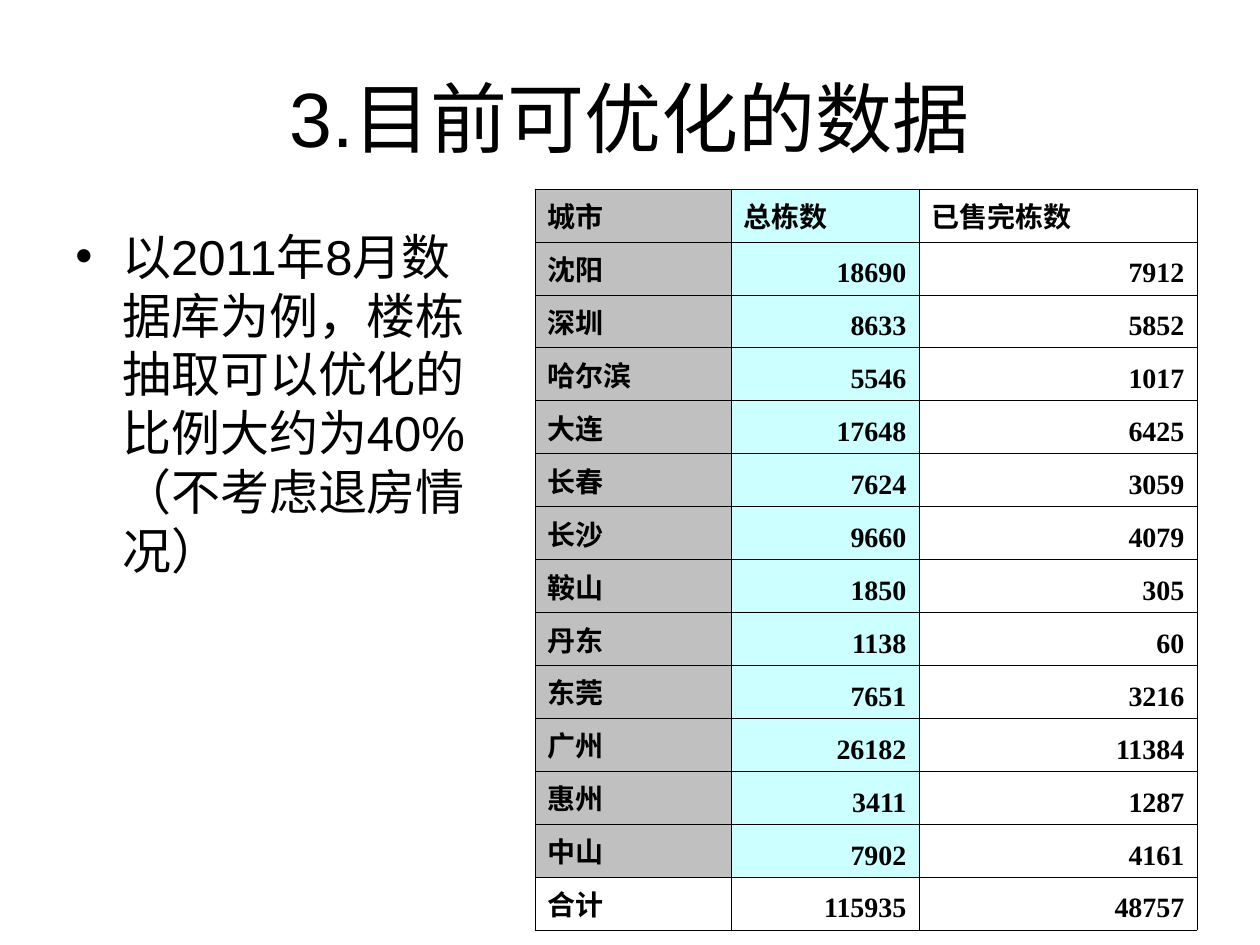
from dataclasses import dataclass

from lxml.etree import SubElement
from pptx import Presentation
from pptx.dml.color import RGBColor
from pptx.enum.text import MSO_ANCHOR, PP_ALIGN
from pptx.oxml.ns import qn
from pptx.util import Pt

PX_PER_INCH = 126


def px(length):
    return round(length * 914400 / PX_PER_INCH)


@dataclass(frozen=True)
class Theme:
    ink: str = "000000"
    city_fill: str = "C0C0C0"
    total_fill: str = "CCFFFF"
    text_font: str = "Arial"
    table_font: str = "Times New Roman"
    title_size: int = 44
    body_size: int = 28
    table_size: int = 16
    border: float = 0.45


THEME = Theme()

HEADER = ("城市", "总栋数", "已售完栋数")
CITIES = (
    ("沈阳", 18690, 7912),
    ("深圳", 8633, 5852),
    ("哈尔滨", 5546, 1017),
    ("大连", 17648, 6425),
    ("长春", 7624, 3059),
    ("长沙", 9660, 4079),
    ("鞍山", 1850, 305),
    ("丹东", 1138, 60),
    ("东莞", 7651, 3216),
    ("广州", 26182, 11384),
    ("惠州", 3411, 1287),
    ("中山", 7902, 4161),
)
TOTALS = ("合计", 115935, 48757)


def style_font(paragraph, name, size, bold=False):
    font = paragraph.font
    font.name = name
    font.size = Pt(size)
    font.bold = bold
    font.color.rgb = RGBColor.from_string(THEME.ink)


def add_text(slide, box, text, anchor):
    shape = slide.shapes.add_textbox(*map(px, box))
    frame = shape.text_frame
    frame.word_wrap = True
    frame.vertical_anchor = anchor
    paragraph = frame.paragraphs[0]
    paragraph.text = text
    return paragraph


def add_title(slide, box):
    paragraph = add_text(slide, box, "3.目前可优化的数据", MSO_ANCHOR.MIDDLE)
    paragraph.alignment = PP_ALIGN.CENTER
    style_font(paragraph, THEME.text_font, THEME.title_size)


def add_body(slide, box):
    text = "以2011年8月数据库为例，楼栋抽取可以优化的比例大约为40%（不考虑退房情况）"
    paragraph = add_text(slide, box, text, MSO_ANCHOR.TOP)
    # Hanging bullet
    properties = paragraph._p.get_or_add_pPr()
    properties.set("marL", str(px(47)))
    properties.set("indent", str(-px(47)))
    SubElement(properties, qn("a:buFont"), typeface=THEME.text_font)
    SubElement(properties, qn("a:buChar"), char="•")
    style_font(paragraph, THEME.text_font, THEME.body_size)


def border_cell(cell):
    properties = cell._tc.get_or_add_tcPr()
    # Borders come before the fill in the cell properties
    for position, side in enumerate(("lnL", "lnR", "lnT", "lnB")):
        line = properties.makeelement(qn(f"a:{side}"), {"w": str(Pt(THEME.border))})
        fill = SubElement(line, qn("a:solidFill"))
        SubElement(fill, qn("a:srgbClr"), val=THEME.ink)
        properties.insert(position, line)


def fill_cell(cell, color):
    if color:
        cell.fill.solid()
        cell.fill.fore_color.rgb = RGBColor.from_string(color)
    else:
        cell.fill.background()


def add_city_table(slide, box, column_widths):
    rows = (HEADER, *CITIES, TOTALS)
    shape = slide.shapes.add_table(len(rows), len(HEADER), *map(px, box))
    table = shape.table
    table.first_row = False
    table.horz_banding = False
    for column, width in zip(table.columns, column_widths):
        column.width = px(width)

    column_fills = (THEME.city_fill, THEME.total_fill, None)
    for row_index, row in enumerate(rows):
        for column_index, value in enumerate(row):
            cell = table.cell(row_index, column_index)
            is_number = isinstance(value, int)
            cell.vertical_anchor = MSO_ANCHOR.BOTTOM
            # Labels sit a little higher than the numbers
            cell.margin_bottom = px(6 if is_number else 13)
            fill_cell(cell, None if row is TOTALS else column_fills[column_index])
            border_cell(cell)
            paragraph = cell.text_frame.paragraphs[0]
            paragraph.text = str(value)
            paragraph.alignment = PP_ALIGN.RIGHT if is_number else PP_ALIGN.LEFT
            style_font(paragraph, THEME.table_font, THEME.table_size, bold=True)


def main():
    presentation = Presentation()
    presentation.slide_width = px(1260)
    presentation.slide_height = px(945)
    slide = presentation.slides.add_slide(presentation.slide_layouts[6])

    add_title(slide, (63, 38, 1134, 157))
    add_body(slide, (63, 220, 431, 624))
    add_city_table(slide, (535, 189, 662, 741), (196, 188, 278))

    presentation.save("out.pptx")


if __name__ == "__main__":
    main()
